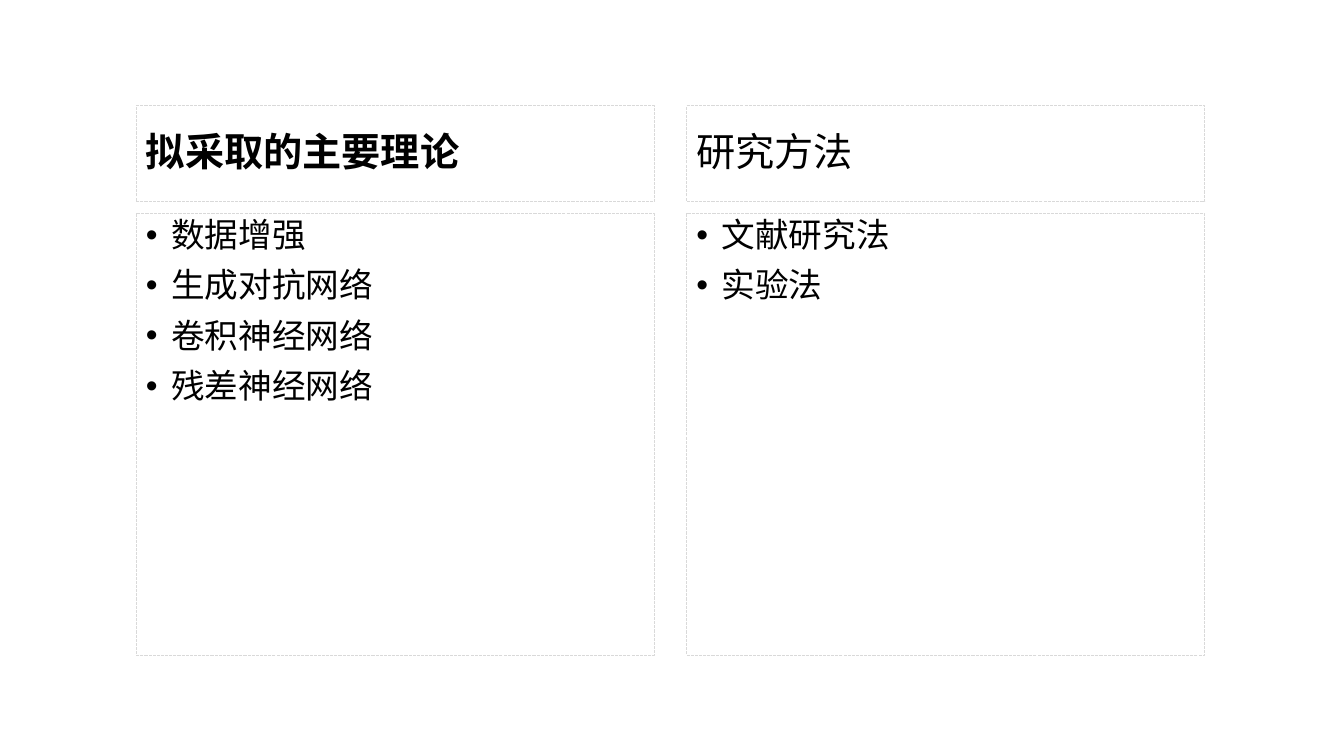
from dataclasses import dataclass

from lxml.etree import SubElement
from pptx import Presentation
from pptx.dml.color import RGBColor
from pptx.enum.dml import MSO_LINE_DASH_STYLE as Dash
from pptx.enum.shapes import MSO_SHAPE as Shape
from pptx.enum.text import MSO_ANCHOR as Anchor, PP_ALIGN as Align
from pptx.oxml.ns import qn
from pptx.util import Emu, Pt


@dataclass(frozen=True)
class Theme:
    """Colours, font and type sizes of the slide."""
    text: RGBColor = RGBColor(0, 0, 0)
    border: RGBColor = RGBColor(0xD9, 0xD9, 0xD9)
    font: str = "Calibri"
    heading: int = 28
    body: int = 24


THEME = Theme()
EMU_PER_PX = 9144
PAGE_WIDTH, PAGE_HEIGHT = 1333, 750
LEFT, TOP, WIDTH, HEIGHT = 135, 105, 514, 545
COLUMN_GAP, HEADING_HEIGHT, BODY_GAP = 32, 95, 12
BULLET_INDENT = 25
COLUMNS = [
    ("拟采取的主要理论", True, ["数据增强", "生成对抗网络", "卷积神经网络", "残差神经网络"]),
    ("研究方法", False, ["文献研究法", "实验法"]),
]


def px(length):
    """Turn a length in px into EMU."""
    return Emu(length * EMU_PER_PX)


def add_bullet(para):
    """Give a paragraph a hanging bullet."""
    properties = para._p.get_or_add_pPr()
    properties.set("marL", str(px(BULLET_INDENT)))
    properties.set("indent", str(-px(BULLET_INDENT)))
    SubElement(properties, qn("a:buFont"), typeface="Arial")
    SubElement(properties, qn("a:buChar"), char="•")


def add_framed_text(page, box, lines, size, anchor, bold=False, bulleted=False):
    """Place a dashed frame holding one paragraph per line."""
    frame = page.shapes.add_shape(Shape.RECTANGLE, *map(px, box))
    frame.shadow.inherit = False
    frame.fill.background()
    frame.line.color.rgb = THEME.border
    frame.line.width = Pt(0.75)
    frame.line.dash_style = Dash.SQUARE_DOT
    text_frame = frame.text_frame
    text_frame.word_wrap = True
    text_frame.vertical_anchor = anchor
    text_frame.text = "\n".join(lines)
    for para in text_frame.paragraphs:
        para.alignment = Align.LEFT
        para.line_spacing = 0.9
        para.space_before = Pt(10)
        if bulleted:
            add_bullet(para)
        for span in para.runs:
            span.font.name = THEME.font
            span.font.size = Pt(size)
            span.font.bold = bold
            span.font.color.rgb = THEME.text


def add_column(page, box, heading, bold, items):
    """Place a heading frame above a bulleted frame."""
    left, top, width, height = box
    offset = HEADING_HEIGHT + BODY_GAP
    heading_box = (left, top, width, HEADING_HEIGHT)
    body_box = (left, top + offset, width, height - offset)
    add_framed_text(page, heading_box, [heading], THEME.heading, Anchor.MIDDLE, bold=bold)
    add_framed_text(page, body_box, items, THEME.body, Anchor.TOP, bulleted=True)


def add_comparison(page, box):
    """Set the columns side by side, starting from the first column's box."""
    left, top, width, height = box
    for index, column in enumerate(COLUMNS):
        column_left = left + index * (width + COLUMN_GAP)
        add_column(page, (column_left, top, width, height), *column)


def main():
    """Build and save the deck."""
    deck = Presentation()
    deck.slide_width, deck.slide_height = px(PAGE_WIDTH), px(PAGE_HEIGHT)
    page = deck.slides.add_slide(deck.slide_layouts[6])
    add_comparison(page, (LEFT, TOP, WIDTH, HEIGHT))
    deck.save("out.pptx")


if __name__ == "__main__":
    main()
